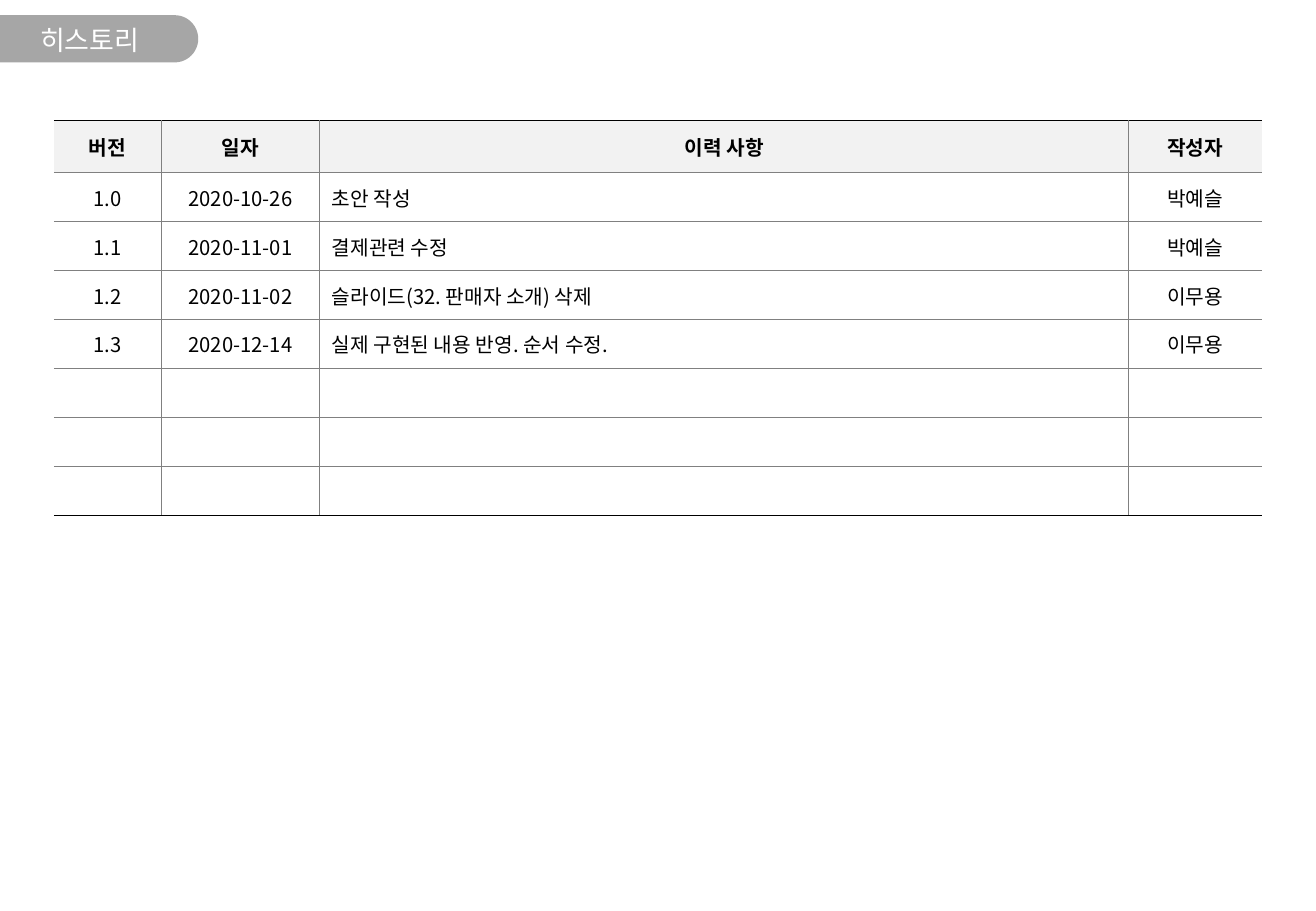
from dataclasses import dataclass

from lxml.etree import SubElement
from pptx import Presentation
from pptx.dml.color import RGBColor
from pptx.enum.shapes import MSO_SHAPE as SHAPE
from pptx.enum.text import MSO_ANCHOR as ANCHOR, PP_ALIGN as ALIGN
from pptx.oxml.ns import qn
from pptx.util import Emu, Pt

PX = 6350  # 144 px to the inch
FONT = "Noto Sans CJK KR"
COLORS = {"tab": "A6A6A6", "header": "F2F2F2", "grid": "808080",
          "text": "000000", "title": "FFFFFF"}


@dataclass
class Column:
    heading: str
    width: int
    align: ALIGN = ALIGN.CENTER


@dataclass
class Border:
    color: str
    width: float


COLUMNS = [
    Column("버전", 127),
    Column("일자", 188),
    Column("이력 사항", 959, ALIGN.LEFT),
    Column("작성자", 158),
]
HISTORY = [
    ("1.0", "2020-10-26", "초안 작성", "박예슬"),
    ("1.1", "2020-11-01", "결제관련 수정", "박예슬"),
    ("1.2", "2020-11-02", "슬라이드(32. 판매자 소개) 삭제", "이무용"),
    ("1.3", "2020-12-14", "실제 구현된 내용 반영. 순서 수정.", "이무용"),
]
EMPTY_ROWS = 3
HEADER_H, ROW_H = 62, 58
GRID = Border("grid", 0.5)
EDGE = Border("text", 0.75)


def px(n: int) -> Emu:
    return Emu(n * PX)


def rgb(name: str) -> RGBColor:
    return RGBColor.from_string(COLORS[name])


def write(p, text: str, align: ALIGN, size: int, color: str, bold: bool = False) -> None:
    p.alignment = align
    if not text:
        SubElement(p._p, qn("a:endParaRPr"), sz=str(size * 100))
        return
    r = p.add_run()
    r.text = text
    for key, value in {"name": FONT, "size": Pt(size), "bold": bold}.items():
        setattr(r.font, key, value)
    r.font.color.rgb = rgb(color)
    SubElement(r.font._element, qn("a:ea"), typeface=FONT)


def set_border(cell, side: str, border: Border | None) -> None:
    ln = SubElement(cell._tc.get_or_add_tcPr(), qn(f"a:ln{side}"))
    if border is None:
        SubElement(ln, qn("a:noFill"))
        return
    ln.set("w", str(Pt(border.width)))
    fill = SubElement(ln, qn("a:solidFill"))
    SubElement(fill, qn("a:srgbClr"), val=COLORS[border.color])


def add_title(slide) -> None:
    # Tab rounded on its right end
    sp = slide.shapes.add_shape(SHAPE.ROUND_2_SAME_RECTANGLE,
                                px(89), px(-72), px(56), px(236))
    sp.rotation = 270
    sp.adjustments[0], sp.adjustments[1] = 0, 0.5
    sp.shadow.inherit = False
    sp.fill.solid()
    sp.fill.fore_color.rgb = rgb("tab")
    sp.line.fill.background()

    # Title text
    tf = slide.shapes.add_textbox(px(-1), px(19), px(215), px(56)).text_frame
    for key, value in {"word_wrap": True, "vertical_anchor": ANCHOR.MIDDLE}.items():
        setattr(tf, key, value)
    write(tf.paragraphs[0], "히스토리", ALIGN.CENTER, 16, "title")


def add_history(slide) -> None:
    headings = tuple(c.heading for c in COLUMNS)
    blank = ("",) * len(COLUMNS)
    rows = [headings, *HISTORY, *[blank] * EMPTY_ROWS]
    last_row, last_col = len(rows) - 1, len(COLUMNS) - 1
    width = sum(c.width for c in COLUMNS)
    height = HEADER_H + ROW_H * last_row
    table = slide.shapes.add_table(len(rows), len(COLUMNS), px(64), px(143),
                                   px(width), px(height)).table
    table.first_row = table.horz_banding = False
    for i, col in enumerate(COLUMNS):
        table.columns[i].width = px(col.width)

    for y, values in enumerate(rows):
        header = y == 0
        table.rows[y].height = px(HEADER_H if header else ROW_H)
        for x, (col, value) in enumerate(zip(COLUMNS, values)):
            cell = table.cell(y, x)
            cell.vertical_anchor = ANCHOR.MIDDLE
            write(cell.text_frame.paragraphs[0], value,
                  ALIGN.CENTER if header else col.align, 12, "text", header)
            # Open sides, darker top and bottom edges
            borders = {
                "L": GRID if x > 0 else None,
                "R": GRID if x < last_col else None,
                "T": EDGE if header else GRID,
                "B": EDGE if y == last_row else GRID,
            }
            for side, border in borders.items():
                set_border(cell, side, border)
            if header:
                cell.fill.solid()
                cell.fill.fore_color.rgb = rgb("header")
            else:
                cell.fill.background()


def main() -> None:
    prs = Presentation()
    prs.slide_width, prs.slide_height = px(1560), px(1080)
    slide = prs.slides.add_slide(prs.slide_layouts[6])
    add_title(slide)
    add_history(slide)
    prs.save("out.pptx")


if __name__ == "__main__":
    main()
